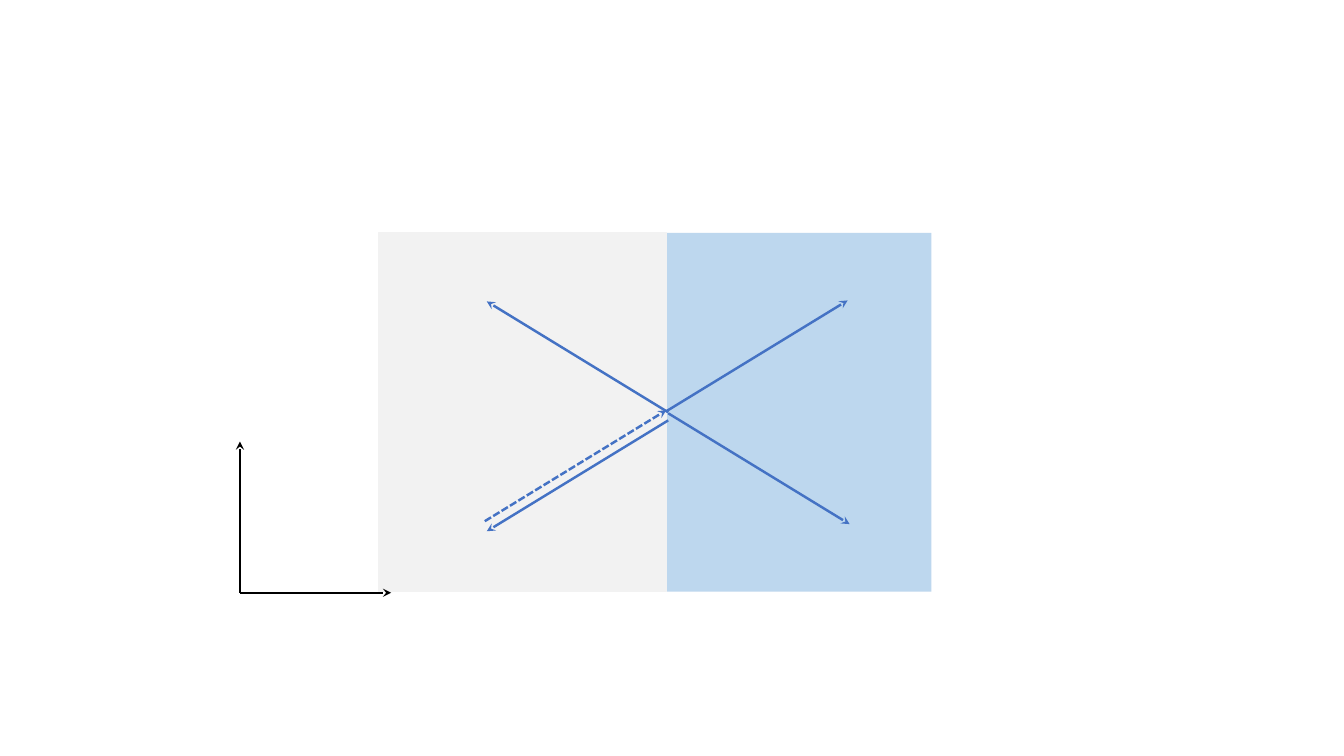
from pptx import Presentation
from pptx.dml.color import RGBColor
from pptx.enum.dml import MSO_LINE as Dash
from pptx.enum.shapes import MSO_CONNECTOR as Link, MSO_SHAPE as Shape
from pptx.oxml.ns import qn
from pptx.util import Pt
from lxml.etree import SubElement

GREY, SKY, BLUE, BLACK = "F2F2F2", "BDD7EE", "4472C4", "000000"


def paint(part, color):
    """Give a fill or line one solid colour."""
    part.fill.solid() if hasattr(part, "fill") else part.solid()
    fore = part.fill.fore_color if hasattr(part, "fill") else part.fore_color
    fore.rgb = RGBColor.from_string(color)


def block(slide, left, top, width, height, color, edge=0):
    """Draw a plain rectangle, with an edge of the same colour if asked."""
    rect = slide.shapes.add_shape(
        Shape.RECTANGLE, Pt(left), Pt(top), Pt(width), Pt(height))
    rect.shadow.inherit = False
    paint(rect.fill, color)
    if edge:
        paint(rect.line, color)
        rect.line.width = Pt(edge)
    else:
        rect.line.fill.background()


def arrow(slide, x, y, dx, dy, color, width, dash=None):
    """Draw a stealth arrow from a point along a vector."""
    line = slide.shapes.add_connector(
        Link.STRAIGHT, Pt(x), Pt(y), Pt(x + dx), Pt(y + dy))
    paint(line.line, color)
    line.line.width = Pt(width)
    if dash:
        line.line.dash_style = dash
    SubElement(line.line._get_or_add_ln(), qn("a:tailEnd"), type="stealth")
    SubElement(line._element.spPr, qn("a:effectLst"))


def media(slide, left, top, width, height, split):
    """Draw two media side by side, meeting at the split."""
    block(slide, left + split, top, width - split, height, SKY)
    block(slide, left, top, split - 0.7, height, GREY, 1)


def axes(slide, left, top, size):
    """Draw the two axes from the lower left corner of a square."""
    base = top + size
    for dx, dy in ((0, -size), (size, 0)):
        arrow(slide, left, base, dx, dy, BLACK, 1.5)


def rays(slide, left, top, split):
    """Draw the rays around the point where the media meet."""
    x, y = left + split, top + 127.5
    run, rise = 129.6, 79.2
    # Start relative to the meeting point, direction, dash
    for sx, sy, right, down, dash in (
            (-0.7, 0, 1, -1, None),
            (-0.7 - run, -0.7 + rise, 1, -1, Dash.SQUARE_DOT),
            (0.7, 6.5, -1, 1, None),
            (0.7, 1.4, 1, 1, None),
            (0.7, 0.7, -1, -1, None)):
        arrow(slide, x + sx, y + sy, right * run, down * rise,
              BLUE, 1.75, dash)


deck = Presentation()
deck.slide_width, deck.slide_height = Pt(960), Pt(540)
page = deck.slides.add_slide(deck.slide_layouts[6])
media(page, 270.7, 166.3, 394.6, 256.3, 205.9)
axes(page, 171.4, 315.4, 108)
rays(page, 270.7, 166.3, 205.9)
deck.save("out.pptx")
